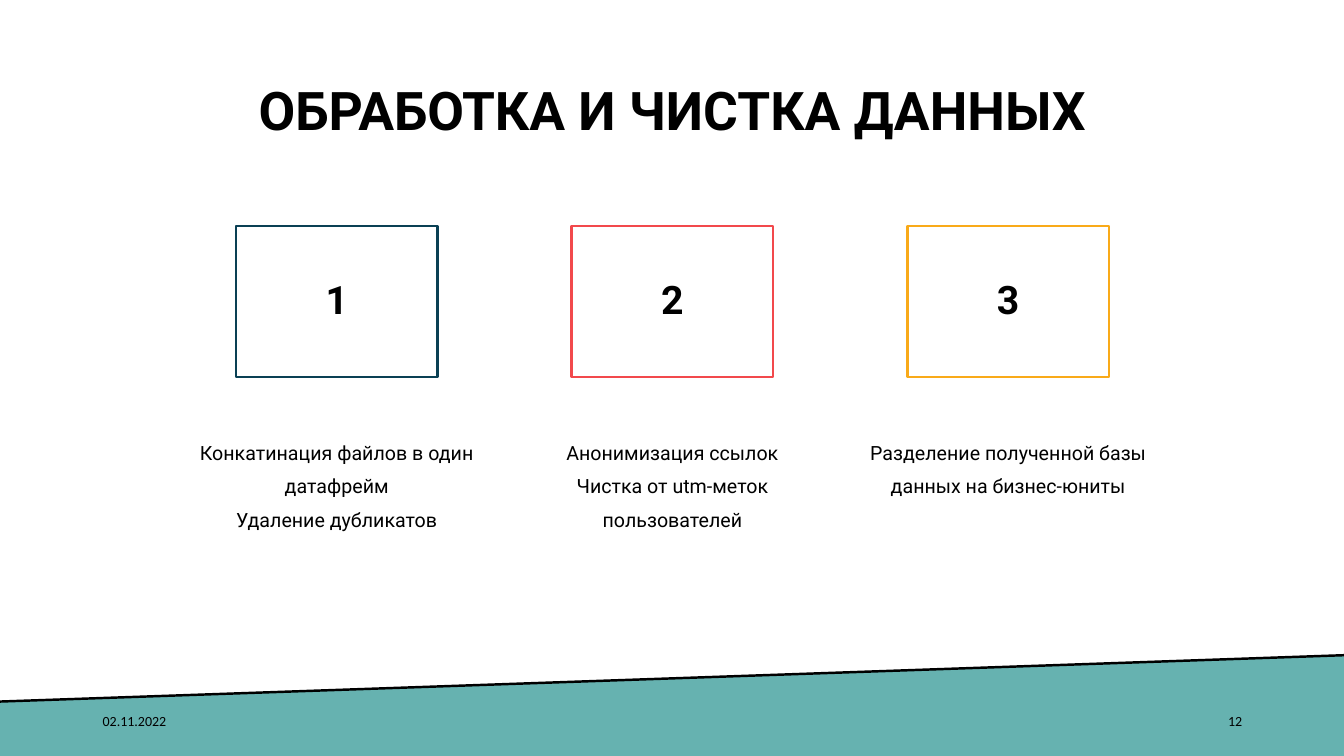
from lxml.etree import SubElement as Sub
from pptx import Presentation
from pptx.dml.color import RGBColor as Rgb
from pptx.enum.shapes import MSO_CONNECTOR as Conn, MSO_SHAPE as Kind
from pptx.enum.text import MSO_ANCHOR as Anchor, MSO_AUTO_SIZE as Auto, PP_ALIGN as Align
from pptx.oxml.ns import qn
from pptx.util import Pt

SCALE = 9144
STEPS = [
    ("0A4054", "Конкатинация файлов в один датафрейм\nУдаление дубликатов"),
    ("F2494C", "Анонимизация ссылок\nЧистка от utm-меток пользователей"),
    ("F9AA19", "Разделение полученной базы данных на бизнес-юниты"),
]


def px(*vals):
    return [val * SCALE for val in vals]


def tint(code):
    return Rgb.from_string(code)


def write(shape, text, size=14, font="Roboto", color="000000", bold=False,
          align=Align.CENTER, anchor=Anchor.MIDDLE, lead=None, before=0):
    frame = shape.text_frame
    frame.word_wrap = True
    frame.auto_size = Auto.NONE
    frame.vertical_anchor = anchor
    para = frame.paragraphs[0]
    para.text = text
    para.alignment = align
    para.line_spacing = lead
    para.space_before = Pt(before)
    for run in para.runs:
        run.font.size = Pt(size)
        run.font.name = font
        run.font.bold = bold
        run.font.color.rgb = tint(color)


class Deck:
    """Holds the style and the current slide, and draws its elements."""

    ink = "000000"
    teal = "66B2B0"
    weight = Pt(1.75)

    def __init__(self, wide, high):
        self.file = Presentation()
        self.file.slide_width, self.file.slide_height = px(wide, high)
        self.slide = self.file.slides.add_slide(self.file.slide_layouts[5])
        self.shapes = self.slide.shapes

    def title(self, text, *area):
        shape = self.shapes.title
        shape.left, shape.top, shape.width, shape.height = px(*area)
        write(shape, text, size=38, bold=True, lead=0.9)

    def band(self, points):
        form = self.shapes.build_freeform(*points[0], scale=SCALE)
        form.add_line_segments(points[1:], close=True)
        shape = form.convert_to_shape()
        shape.shadow.inherit = False
        shape.fill.solid()
        shape.fill.fore_color.rgb = tint(self.teal)
        shape.line.fill.background()

    def line(self, start, end):
        edge = self.shapes.add_connector(Conn.STRAIGHT, *px(*start, *end))
        edge.line.color.rgb = tint(self.ink)
        edge.line.width = self.weight
        Sub(edge._element.spPr, qn("a:effectLst"))

    def box(self, text, color, *area):
        shape = self.shapes.add_shape(Kind.RECTANGLE, *px(*area))
        shape.shadow.inherit = False
        shape.fill.background()
        shape.line.color.rgb = tint(color)
        shape.line.width = self.weight
        write(shape, text, size=28, bold=True, lead=0.9)

    def label(self, text, *area, **style):
        write(self.shapes.add_textbox(*px(*area)), text, **style)


def main():
    deck = Deck(1333, 750)
    left, right = (0, 696), (1333, 650)
    deck.band([left, right, (1333, 750), (0, 750)])
    deck.line(right, left)
    deck.title("ОБРАБОТКА И ЧИСТКА ДАННЫХ", 92, 40, 1150, 145)
    for i, (color, text) in enumerate(STEPS):
        x = 234 + 333 * i
        deck.box(str(i + 1), color, x, 224, 200, 150)
        deck.label(text, x - 50, 422, 300, 175,
                   anchor=Anchor.TOP, lead=Pt(24), before=10)
    for x, text, align in [(92, "02.11.2022", Align.LEFT), (942, "12", Align.RIGHT)]:
        deck.label(text, x, 695, 300, 40, size=10, font="Calibri", align=align)
    deck.file.save("out.pptx")


if __name__ == "__main__":
    main()
